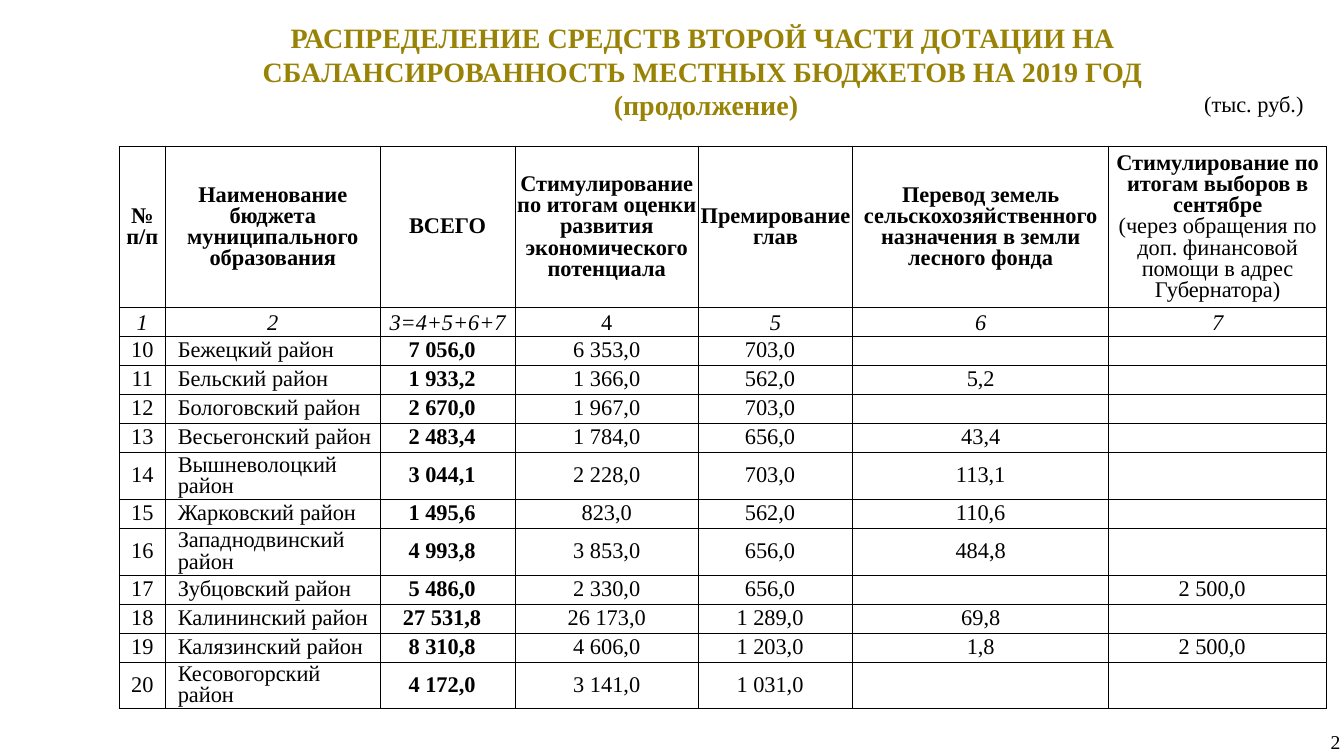
from dataclasses import dataclass

from lxml import etree
from pptx import Presentation
from pptx.dml.color import RGBColor
from pptx.enum.shapes import MSO_SHAPE
from pptx.enum.text import MSO_ANCHOR, PP_ALIGN
from pptx.oxml.ns import qn
from pptx.util import Cm, Pt

RECT = MSO_SHAPE.RECTANGLE
MIDDLE = MSO_ANCHOR.MIDDLE
LEFT, CENTER, RIGHT = PP_ALIGN.LEFT, PP_ALIGN.CENTER, PP_ALIGN.RIGHT


@dataclass(frozen=True)
class Theme:
    font: str = "Times New Roman"
    gold: RGBColor = RGBColor(0x99, 0x83, 0x07)
    black: RGBColor = RGBColor(0, 0, 0)
    white: RGBColor = RGBColor(0xFF, 0xFF, 0xFF)
    title: int = 20
    body: int = 16
    page: int = 14
    border: float = 0.5
    tight: float = 0.85


THEME = Theme()

# Table content
COL_WIDTHS = [1.17, 5.41, 3.4, 4.62, 3.89, 6.45, 5.49]
HEAD_HEIGHT, ROW_HEIGHT = 3.99, 0.73
NAME_COL, TOTAL_COL = 1, 2
PADDED_RIGHT = (2, 4, 6)

HEADERS = [
    ["№ п/п"],
    ["Наименование бюджета муниципального образования"],
    ["ВСЕГО"],
    ["Стимулирование по итогам оценки развития экономического потенциала"],
    ["Премирование глав"],
    ["Перевод земель сельскохозяйственного назначения в земли лесного фонда"],
    ["Стимулирование по итогам выборов в сентябре",
     "(через обращения по доп. финансовой помощи в адрес Губернатора)"],
]
COL_NUMBERS = ["1", "2", "3=4+5+6+7", "4", "5", "6", "7"]
FIRST_NUMBER = 10
DISTRICTS = [
    ("Бежецкий район", "7 056,0", "6 353,0", "703,0", "", ""),
    ("Бельский район", "1 933,2", "1 366,0", "562,0", "5,2", ""),
    ("Бологовский район", "2 670,0", "1 967,0", "703,0", "", ""),
    ("Весьегонский район", "2 483,4", "1 784,0", "656,0", "43,4", ""),
    ("Вышневолоцкий район", "3 044,1", "2 228,0", "703,0", "113,1", ""),
    ("Жарковский район", "1 495,6", "823,0", "562,0", "110,6", ""),
    ("Западнодвинский район", "4 993,8", "3 853,0", "656,0", "484,8", ""),
    ("Зубцовский район", "5 486,0", "2 330,0", "656,0", "", "2 500,0"),
    ("Калининский район", "27 531,8", "26 173,0", "1 289,0", "69,8", ""),
    ("Калязинский район", "8 310,8", "4 606,0", "1 203,0", "1,8", "2 500,0"),
    ("Кесовогорский район", "4 172,0", "3 141,0", "1 031,0", "", ""),
]


def add_run(p, text, size, color=THEME.black, bold=False, italic=False):
    r = p.add_run()
    r.text = text
    r.font.name = THEME.font
    r.font.size = Pt(size)
    r.font.color.rgb = color
    r.font.bold = bold
    r.font.italic = italic


def write_lines(tf, lines, align, size, color=THEME.black, bold=False):
    tf.word_wrap = True
    tf.vertical_anchor = MIDDLE
    for i, line in enumerate(lines):
        p = tf.add_paragraph() if i else tf.paragraphs[0]
        p.alignment = align
        add_run(p, line, size, color, bold)


def add_text(slide, box, lines, align, size, **style):
    sp = slide.shapes.add_textbox(*map(Cm, box))
    write_lines(sp.text_frame, lines, align, size, **style)


def add_unit_label(slide, box, text):
    sp = slide.shapes.add_shape(RECT, *map(Cm, box))
    sp.shadow.inherit = False
    sp.fill.solid()
    sp.fill.fore_color.rgb = THEME.white
    sp.line.color.rgb = THEME.white
    sp.line.width = Pt(1)
    write_lines(sp.text_frame, [text], CENTER, THEME.body)


def set_borders(cell):
    tc_pr = cell._tc.get_or_add_tcPr()
    for side in ("a:lnL", "a:lnR", "a:lnT", "a:lnB"):
        ln = etree.SubElement(tc_pr, qn(side), w=str(Pt(THEME.border)))
        fill = etree.SubElement(ln, qn("a:solidFill"))
        etree.SubElement(fill, qn("a:srgbClr"), val=str(THEME.black))


def fill_cell(cell, runs, align=CENTER, spacing=None, left=0.03, right=0.03, filled=False):
    """Each item of runs is (text, bold, italic) and makes one paragraph."""
    set_borders(cell)
    if filled:
        cell.fill.solid()
        cell.fill.fore_color.rgb = THEME.white
    else:
        cell.fill.background()
    cell.vertical_anchor = MIDDLE
    cell.margin_left, cell.margin_right = Cm(left), Cm(right)
    cell.margin_top, cell.margin_bottom = Cm(0.03), Cm(0)
    tf = cell.text_frame
    for i, (text, bold, italic) in enumerate(runs):
        p = tf.add_paragraph() if i else tf.paragraphs[0]
        p.alignment = align
        if spacing:
            p.line_spacing = spacing
        if text:
            add_run(p, text, THEME.body, bold=bold, italic=italic)
        else:
            # An empty cell keeps the body size, so its row stays low
            etree.SubElement(p._p, qn("a:endParaRPr"), sz=str(THEME.body * 100))


def add_grants_table(slide, left, top):
    rows = len(DISTRICTS) + 2
    height = HEAD_HEIGHT + ROW_HEIGHT * (rows - 1)
    frame = slide.shapes.add_table(rows, len(COL_WIDTHS), Cm(left), Cm(top),
                                   Cm(sum(COL_WIDTHS)), Cm(height))
    table = frame.table
    table.first_row = table.horz_banding = False
    for col, width in zip(table.columns, COL_WIDTHS):
        col.width = Cm(width)
    for i, row in enumerate(table.rows):
        row.height = Cm(ROW_HEIGHT if i else HEAD_HEIGHT)

    # Headings and column numbers
    for c, (lines, number) in enumerate(zip(HEADERS, COL_NUMBERS)):
        runs = [(line, i == 0, False) for i, line in enumerate(lines)]
        fill_cell(table.cell(0, c), runs, spacing=THEME.tight, filled=True)
        fill_cell(table.cell(1, c), [(number, False, number != "4")], filled=True)

    # Districts
    for i, district in enumerate(DISTRICTS):
        for c, text in enumerate((str(FIRST_NUMBER + i), *district)):
            fill_cell(table.cell(i + 2, c), [(text, c == TOTAL_COL, False)],
                      align=LEFT if c == NAME_COL else CENTER,
                      spacing=THEME.tight,
                      left=0.31 if c == NAME_COL else 0.03,
                      right=0.31 if c in PADDED_RIGHT else 0.03)


def main():
    prs = Presentation()
    prs.slide_width, prs.slide_height = Cm(33.87), Cm(19.05)
    slide = prs.slides.add_slide(prs.slide_layouts[6])

    add_text(slide, (2.44, 0.86, 30.53, 1.85),
             ["РАСПРЕДЕЛЕНИЕ СРЕДСТВ ВТОРОЙ ЧАСТИ ДОТАЦИИ НА "
              "СБАЛАНСИРОВАННОСТЬ МЕСТНЫХ БЮДЖЕТОВ НА 2019 ГОД",
              " (продолжение)"],
             CENTER, THEME.title, color=THEME.gold, bold=True)
    add_grants_table(slide, 3, 3.69)
    add_unit_label(slide, (30.05, 2.18, 3.1, 0.84), "(тыс. руб.)")
    add_text(slide, (32.84, 18.19, 1.19, 1.02), ["2"], RIGHT, THEME.page)

    prs.save("out.pptx")


if __name__ == "__main__":
    main()
